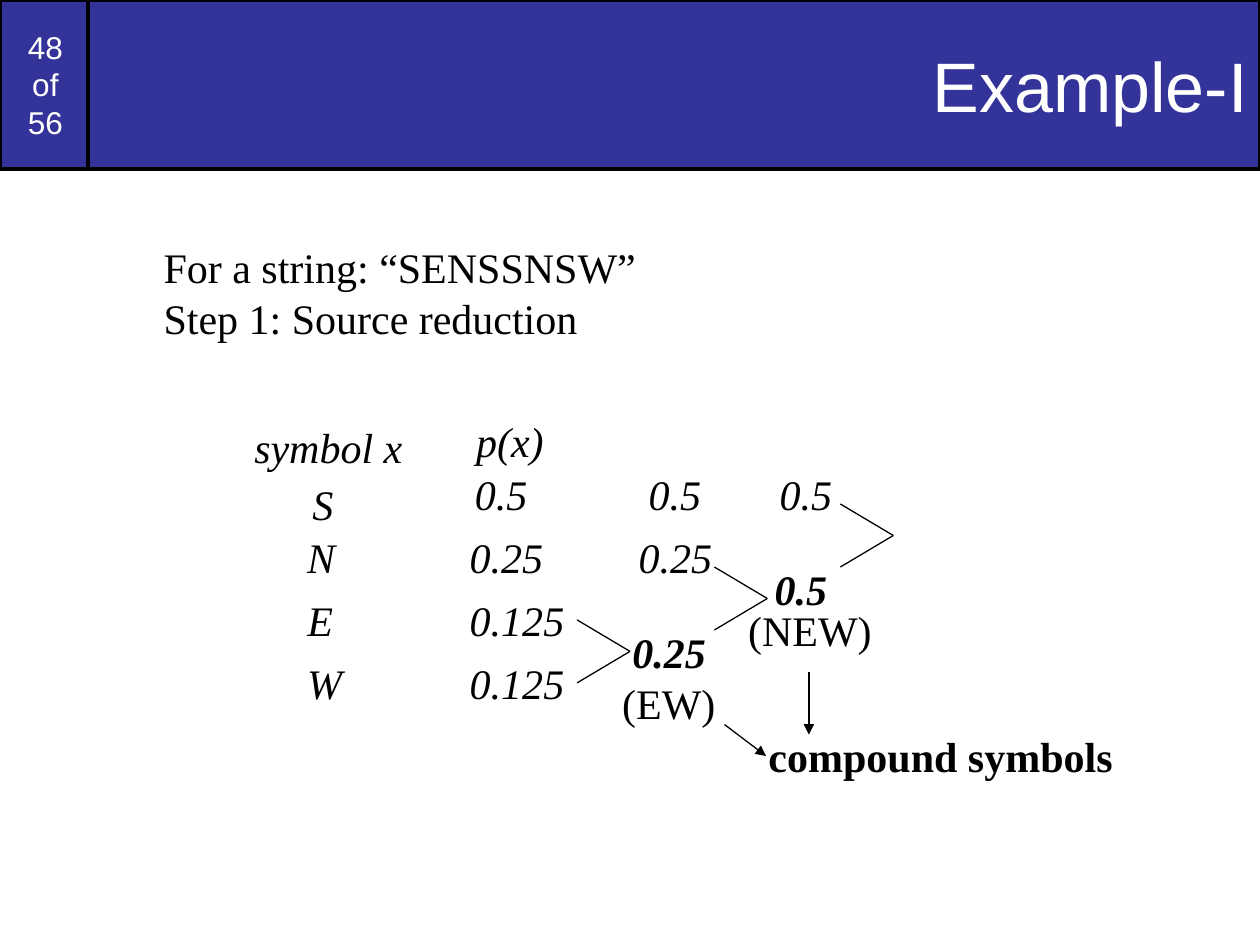
from typing import NamedTuple

from lxml.etree import SubElement
from pptx import Presentation
from pptx.dml.color import RGBColor
from pptx.enum.shapes import MSO_CONNECTOR, MSO_SHAPE
from pptx.enum.text import MSO_ANCHOR, MSO_AUTO_SIZE, PP_ALIGN
from pptx.oxml.ns import qn
from pptx.util import Inches, Pt

COLORS = {"banner": "333399", "ink": "000000", "light": "FFFFFF"}


class Label(NamedTuple):
    text: str
    left: float
    top: float
    width: float
    height: float = 0.5
    bold: bool = False
    italic: bool = True


class Segment(NamedTuple):
    start: tuple[float, float]
    end: tuple[float, float]
    arrow: bool = False


class Panel(NamedTuple):
    text: str
    left: float
    width: float
    size: int
    align: PP_ALIGN
    space_before: float = 0


def color(key: str) -> RGBColor:
    return RGBColor.from_string(COLORS[key])


def write(frame, text: str, *, size: float = 24, font: str = "Times New Roman",
          ink: str = "ink", bold: bool = False, italic: bool = False,
          align: PP_ALIGN = PP_ALIGN.LEFT, space_before: float = 0) -> None:
    frame.text = text
    for paragraph in frame.paragraphs:
        paragraph.alignment = align
        paragraph.space_before = Pt(space_before)
        for run in paragraph.runs:
            run.font.size = Pt(size)
            run.font.name = font
            run.font.bold = bold
            run.font.italic = italic
            run.font.color.rgb = color(ink)


def draw_panel(slide, panel: Panel) -> None:
    shape = slide.shapes.add_shape(MSO_SHAPE.RECTANGLE, Inches(panel.left), Inches(0),
                                   Inches(panel.width), Inches(PANEL_HEIGHT))
    shape.shadow.inherit = False
    shape.fill.solid()
    shape.fill.fore_color.rgb = color("banner")
    shape.line.color.rgb = color("ink")
    shape.line.width = Pt(2)
    shape.text_frame.vertical_anchor = MSO_ANCHOR.MIDDLE
    write(shape.text_frame, panel.text, size=panel.size, font="Arial", ink="light",
          align=panel.align, space_before=panel.space_before)


def draw_label(slide, label: Label) -> None:
    box = slide.shapes.add_textbox(Inches(label.left), Inches(label.top),
                                   Inches(label.width), Inches(label.height))
    box.text_frame.word_wrap = False
    box.text_frame.auto_size = MSO_AUTO_SIZE.SHAPE_TO_FIT_TEXT
    write(box.text_frame, label.text, bold=label.bold, italic=label.italic)


def draw_segment(slide, segment: Segment) -> None:
    points = [Inches(value) for value in (*segment.start, *segment.end)]
    connector = slide.shapes.add_connector(MSO_CONNECTOR.STRAIGHT, *points)
    connector.line.color.rgb = color("ink")
    connector.line.width = Pt(0.74)
    properties = connector.element.spPr
    if segment.arrow:
        SubElement(properties.find(qn("a:ln")), qn("a:tailEnd"), type="triangle")
    SubElement(properties, qn("a:effectLst"))


def merge(left: float, top: float) -> list[Segment]:
    tip = (left + 0.42, top + 0.25)
    return [Segment((left, top), tip), Segment((left, top + 0.5), tip)]


PANEL_HEIGHT = 1.34
ROW_TOPS = [3.67 + 0.5 * row for row in range(4)]
HALF_WIDTH = 0.63
QUARTER_WIDTH = 0.8
EIGHTH_WIDTH = 0.97

PANELS = [
    Panel("48\vof\v56", 0, 0.72, 18, PP_ALIGN.CENTER, 11.2),
    Panel("Example-I", 0.7, 9.3, 40, PP_ALIGN.RIGHT),
]

SYMBOLS = [
    Label(symbol, 2.34, top, width)
    for symbol, top, width in zip("NEW", ROW_TOPS[1:], (0.44, 0.42, 0.5))
]

PROBABILITIES = [
    Label("0.5", 3.67, ROW_TOPS[0], HALF_WIDTH),
    Label("0.25", 3.63, ROW_TOPS[1], QUARTER_WIDTH),
    *(Label("0.125", 3.63, top, EIGHTH_WIDTH) for top in ROW_TOPS[2:]),
]

LABELS = [
    Label("For a string: “SENSSNSW”\nStep 1: Source reduction",
          1.2, 1.87, 3.97, 0.9, italic=False),
    Label("symbol x", 1.92, 3.3, 1.4),
    Label("p(x)", 3.68, 3.25, 0.76),
    Label("S", 2.38, 3.75, 0.38),
    *SYMBOLS,
    *PROBABILITIES,
    Label("0.5", 5.05, ROW_TOPS[0], HALF_WIDTH),
    Label("0.25", 4.97, ROW_TOPS[1], QUARTER_WIDTH),
    Label("0.25", 4.92, 4.92, QUARTER_WIDTH, bold=True),
    Label("(EW)", 4.84, 5.33, 0.96, italic=False),
    Label("0.5", 6.09, ROW_TOPS[0], HALF_WIDTH),
    Label("0.5", 6.05, 4.42, HALF_WIDTH, bold=True),
    Label("(NEW)", 5.84, 4.75, 1.2, italic=False),
    Label("compound symbols", 6, 5.75, 2.95, bold=True, italic=False),
]

SEGMENTS = [
    *merge(4.58, 4.92),
    *merge(5.67, 4.5),
    *merge(6.67, 4),
    Segment((5.75, 5.75), (6.08, 6), arrow=True),
    Segment((6.42, 5.33), (6.42, 5.83), arrow=True),
]


def main() -> None:
    """Build the source reduction slide and save it."""
    deck = Presentation()
    deck.slide_width, deck.slide_height = Inches(10), Inches(7.5)
    slide = deck.slides.add_slide(deck.slide_layouts[6])
    for panel in PANELS:
        draw_panel(slide, panel)
    for label in LABELS:
        draw_label(slide, label)
    for segment in SEGMENTS:
        draw_segment(slide, segment)
    deck.save("out.pptx")


main()
